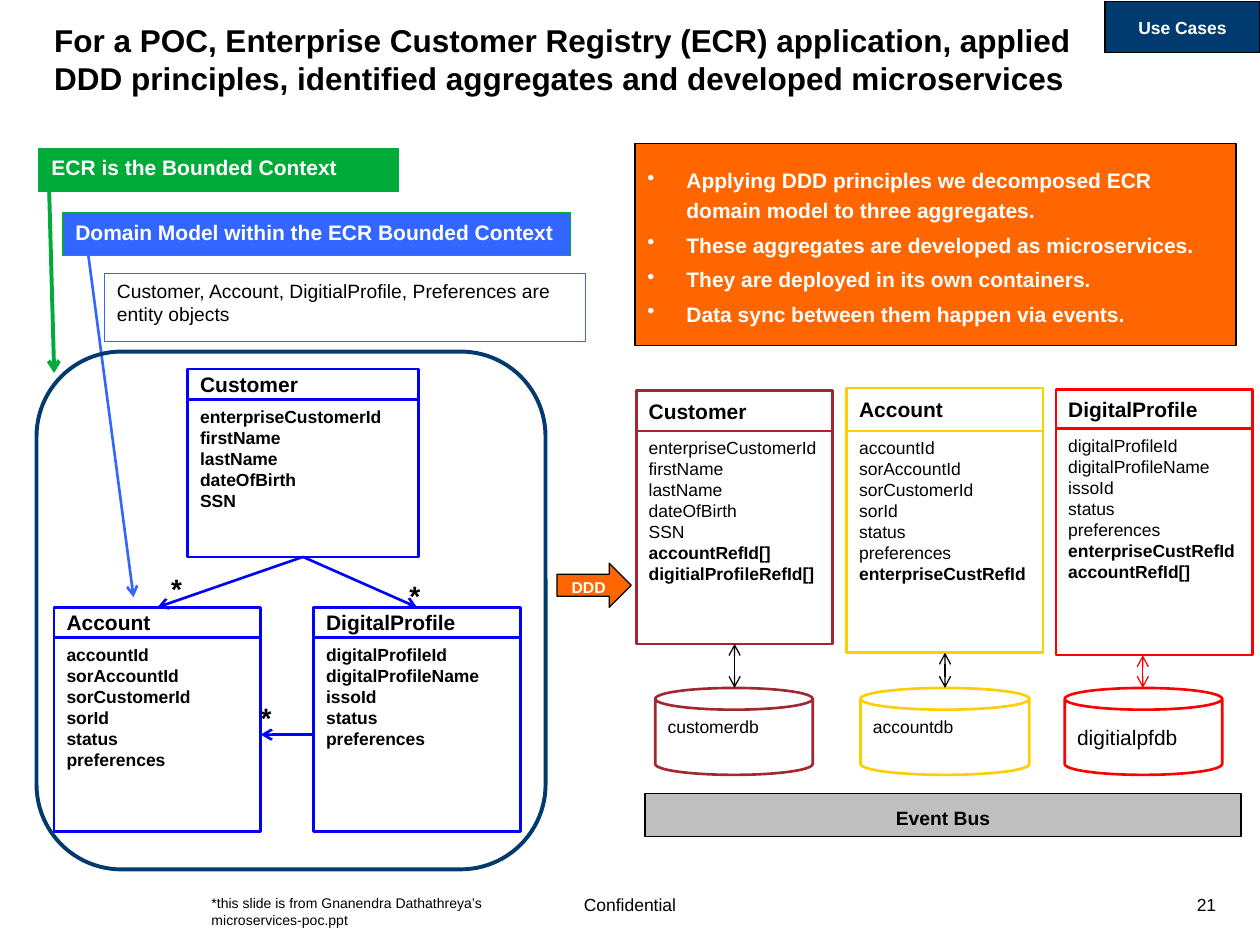
import pptx
import pptx.util
import pptx.dml.color
import pptx.enum.shapes
import pptx.enum.text
import pptx.oxml
import pptx.oxml.ns
import lxml.etree

Inches, Pt = pptx.util.Inches, pptx.util.Pt
RGB = pptx.dml.color.RGBColor
KIND = pptx.enum.shapes.MSO_SHAPE
TOP = pptx.enum.text.MSO_ANCHOR.TOP
MID = pptx.enum.text.MSO_ANCHOR.MIDDLE
LEFT = pptx.enum.text.PP_ALIGN.LEFT
CENTER = pptx.enum.text.PP_ALIGN.CENTER
RIGHT = pptx.enum.text.PP_ALIGN.RIGHT
qn = pptx.oxml.ns.qn

BLACK = RGB(0x00, 0x00, 0x00)
WHITE = RGB(0xFF, 0xFF, 0xFF)
BLUE = RGB(0x00, 0x00, 0xFF)
SKY = RGB(0x33, 0x66, 0xFF)
NAVY = RGB(0x00, 0x3A, 0x6F)
GREEN = RGB(0x00, 0xAB, 0x39)
ORANGE = RGB(0xFF, 0x66, 0x00)
MAROON = RGB(0xA1, 0x28, 0x30)
YELLOW = RGB(0xFF, 0xCE, 0x00)
RED = RGB(0xFF, 0x00, 0x00)
GREY = RGB(0xBF, 0xBF, 0xBF)

deck = pptx.Presentation()
deck.slide_width, deck.slide_height = Inches(10), Inches(7.5)
slide = deck.slides.add_slide(deck.slide_layouts[5])


def add_box(at, text="", size=12, bold=False, color=BLACK, fill=None, edge=None,
            width=0.75, kind=KIND.RECTANGLE, anchor=TOP, align=LEFT, roomy=False):
    """Add a shape, or a text box when it has neither fill nor edge."""
    place = [Inches(v) for v in at]
    if fill is None and edge is None:
        shape = slide.shapes.add_textbox(*place)
    else:
        shape = slide.shapes.add_shape(kind, *place)
        shape.shadow.inherit = False
        shape.line.color.rgb = edge
        shape.line.width = Pt(width)
        if fill is None:
            shape.fill.background()
        else:
            shape.fill.solid()
            shape.fill.fore_color.rgb = fill
    frame = shape.text_frame
    frame.word_wrap = True
    frame.vertical_anchor = anchor
    frame.text = text
    for para in frame.paragraphs:
        para.alignment = align
        font = para.font
        font.name, font.size, font.bold = "Arial", Pt(size), bold
        font.color.rgb = color
        if roomy:
            para.line_spacing = 1.2
            para.space_before = Pt(round(size * 0.2, 1))
    return shape


def add_line(start, end, color, width=1.5, ends=("tailEnd",)):
    """Add a straight line with open arrowheads at the named ends."""
    line = slide.shapes.add_connector(
        pptx.enum.shapes.MSO_CONNECTOR.STRAIGHT, *[Inches(v) for v in (*start, *end)])
    line.line.color.rgb = color
    line.line.width = Pt(width)
    props = line._element.spPr
    for name in ends:
        lxml.etree.SubElement(props.find(qn("a:ln")), qn("a:" + name), type="arrow")
    lxml.etree.SubElement(props, qn("a:effectLst"))
    return line


# Title
title = slide.shapes.title
title.left, title.top = Inches(0.33), Inches(0.08)
title.width, title.height = Inches(9.17), Inches(0.77)
title.text_frame.text = (
    "For a POC, Enterprise Customer Registry (ECR) application, applied \v"
    "DDD principles, identified aggregates and developed microservices")
title.text_frame.vertical_anchor = MID
head = title.text_frame.paragraphs[0]
head.alignment = LEFT
head.font.name, head.font.size, head.font.bold = "Arial", Pt(18), True
head.font.color.rgb = BLACK

# Footer
add_box((9.3, 7.05, 0.45, 0.27), "21", 10, align=RIGHT)
add_box((2, 7.05, 6, 0.27), "Confidential", 10, align=CENTER)
add_box((1.58, 7.05, 2.92, 0.37),
        "*this slide is from Gnanendra Dathathreya’s microservices-poc.ppt", 8)

# Domain model entities
entities = [
    ("Customer", 1.49, 2.93, 1.83, 1.25,
     "enterpriseCustomerId firstName lastName dateOfBirth SSN"),
    ("Account", 0.43, 4.82, 1.64, 1.54,
     "accountId sorAccountId sorCustomerId sorId status preferences"),
    ("DigitalProfile", 2.49, 4.82, 1.64, 1.54,
     "digitalProfileId digitalProfileName issoId status preferences"),
]
heads, bodies = {}, {}
for name, x, y, w, h, fields in entities:
    heads[name] = add_box((x, y, w, 0.24), name, 12, True, edge=BLUE, width=1.5, anchor=MID)
    bodies[name] = add_box((x, y + 0.24, w, h), fields.replace(" ", "\n"), 10, True,
                           edge=BLUE, width=1.5)

# Links between entities
for name, x in (("Account", 1.25), ("DigitalProfile", 3.31)):
    link = add_line((2.4, 4.42), (x, 4.82), BLUE)
    link.begin_connect(bodies["Customer"], 2)
    link.end_connect(heads[name], 0)
link = add_line((2.49, 5.83), (2.07, 5.83), BLUE)
link.begin_connect(bodies["DigitalProfile"], 1)
link.end_connect(bodies["Account"], 3)
for x, y in ((1.26, 4.49), (3.15, 4.54), (1.97, 5.51)):
    add_box((x, y, 0.33, 0.38), "*", 16, True)

# Bounded context and its labels
add_line((0.39, 1.5), (0.43, 2.96), GREEN, 2.25)
add_box((0.31, 1.18, 2.85, 0.34), "ECR is the Bounded Context", 12, True, WHITE, GREEN, GREEN)
add_line((0.69, 1.94), (1.06, 4.74), SKY)
add_box((0.5, 1.69, 4.03, 0.34), "Domain Model within the ECR Bounded Context",
        12, True, WHITE, SKY, GREEN)
add_box((0.83, 2.17, 3.82, 0.54),
        "Customer, Account, DigitialProfile, Preferences are entity objects", 11, edge=SKY)
add_box((0.29, 2.79, 4.04, 4.11), edge=NAVY, width=2.25, kind=KIND.ROUNDED_RECTANGLE)

# Aggregates with their databases: name, left, top, split, bottom, fields,
# database, its left, width, text size and anchor, arrow x and colour
groups = [
    ("Customer", MAROON, 5.05, 3.1, 3.42, 5.11,
     "enterpriseCustomerId firstName lastName dateOfBirth SSN "
     "accountRefId[] digitialProfileRefId[]",
     "customerdb", 5.2, 1.25, 10, TOP, 5.83, BLACK),
    ("Account", YELLOW, 6.72, 3.08, 3.42, 5.18,
     "accountId sorAccountId sorCustomerId sorId status preferences enterpriseCustRefId",
     "accountdb", 6.83, 1.34, 10, TOP, 7.5, BLACK),
    ("DigitalProfile", RED, 8.38, 3.09, 3.4, 5.2,
     "digitalProfileId digitalProfileName issoId status preferences "
     "enterpriseCustRefId accountRefId[]",
     "digitialpfdb", 8.45, 1.25, 12, MID, 9.07, RED),
]
for name, color, x, top, split, low, fields, store, left, w, size, anchor, mid, ink in groups:
    add_box((x, top, 1.56, split - top), name, 12, True, edge=color, width=1.5, anchor=MID)
    body = add_box((x, split, 1.56, low - split), fields.replace(" ", "\n"), 10,
                   edge=color, width=1.5)
    for para in body.text_frame.paragraphs:
        para.font.bold = "RefId" in para.text
    add_box((left, 5.46, w, 0.69), store, size, edge=color, width=1.5,
            kind=KIND.CAN, anchor=anchor)
    link = add_line((mid, low), (mid, 5.46), ink, 0.75, ("headEnd", "tailEnd"))
    if abs(x + 0.78 - mid) < 0.02:
        link.begin_connect(body, 2)

# Step arrow, event bus and corner tag
add_box((4.42, 4.47, 0.59, 0.35), "DDD", 9, True, WHITE, ORANGE, BLACK,
        kind=KIND.RIGHT_ARROW, anchor=MID, align=CENTER, roomy=True)
add_box((5.12, 6.3, 4.73, 0.34), "Event Bus", 11, True, BLACK, GREY, BLACK,
        anchor=MID, align=CENTER, roomy=True)
tag = add_box((8.77, 0.01, 1.23, 0.41), "Use Cases", 10, True, WHITE, NAVY, BLACK,
              anchor=MID, align=CENTER)
tag.text_frame.margin_left = tag.text_frame.margin_right = Inches(0.05)

# Summary bullets
notes = add_box((5.04, 1.14, 4.77, 1.6), "\n".join([
    "Applying DDD principles we decomposed ECR domain model to three aggregates.",
    "These aggregates are developed as microservices.",
    "They are deployed in its own containers.",
    "Data sync between them happen via events.",
]), 12, True, WHITE, ORANGE, BLACK, anchor=MID, roomy=True)
for para in notes.text_frame.paragraphs:
    props = para._p.get_or_add_pPr()
    props.set("marL", str(Inches(0.31)))
    props.set("indent", str(-Inches(0.31)))
    mark = pptx.oxml.parse_xml(
        '<a:buChar xmlns:a="http://schemas.openxmlformats.org/drawingml/2006/main" char="•"/>')
    props.find(qn("a:defRPr")).addprevious(mark)

deck.save("out.pptx")
